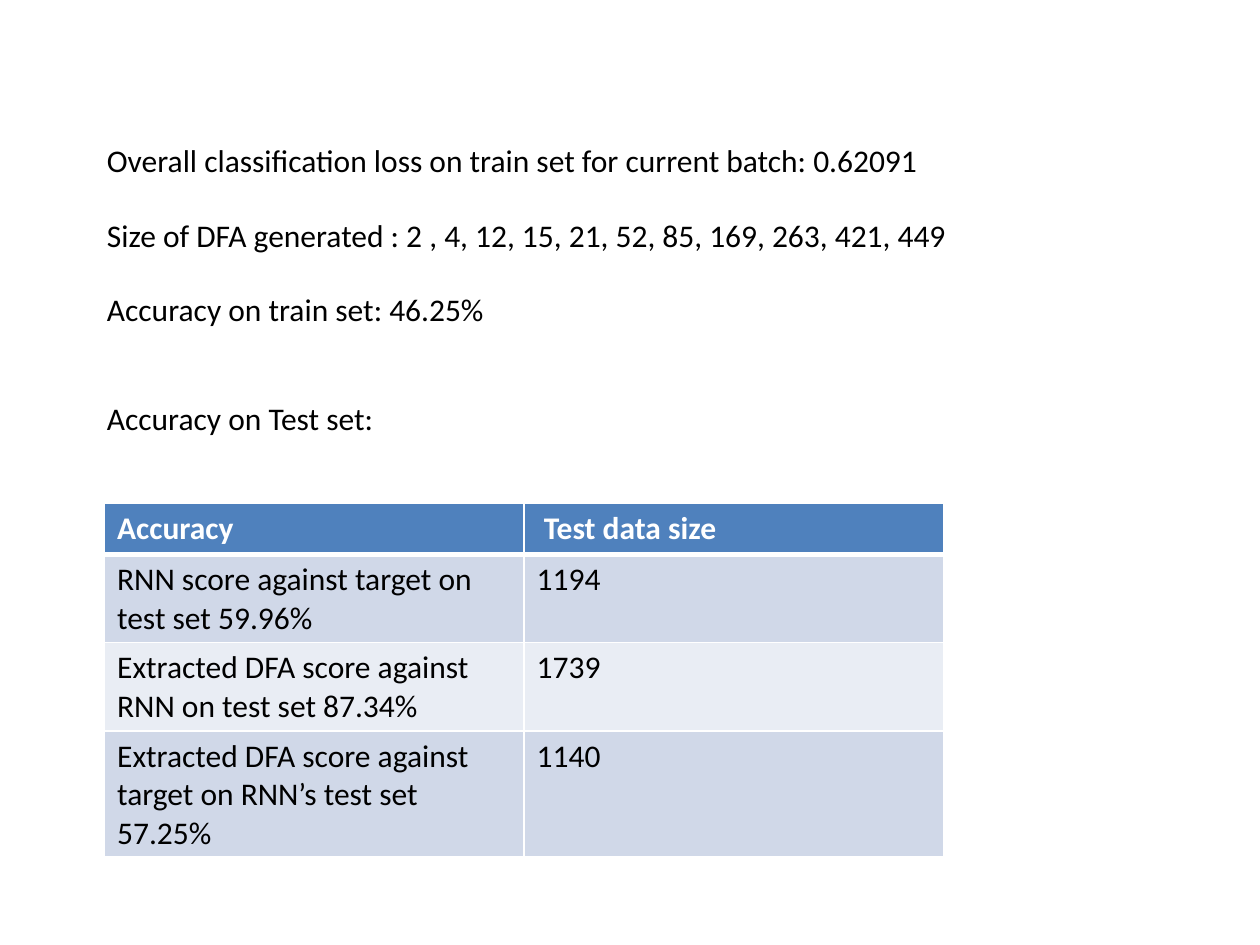
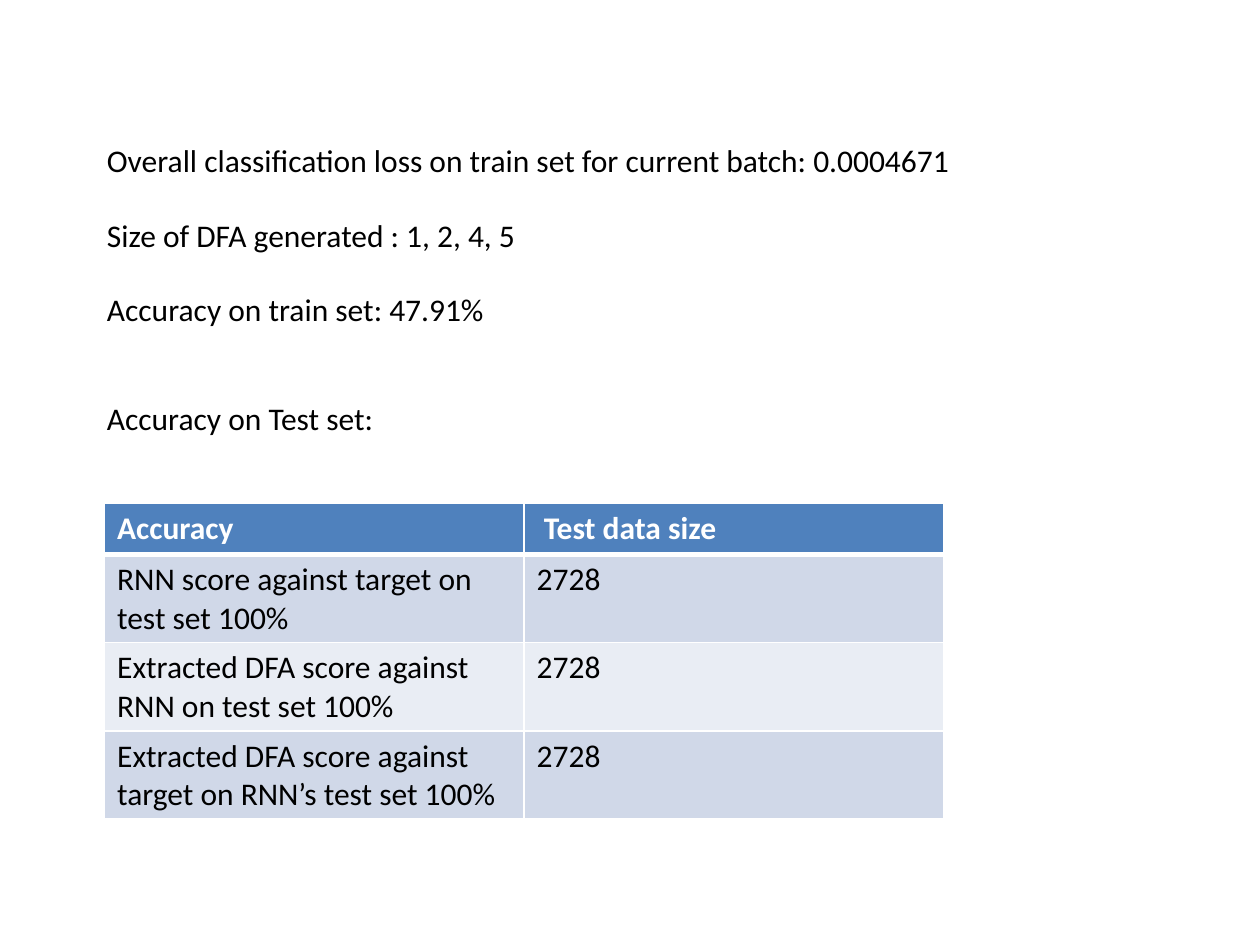
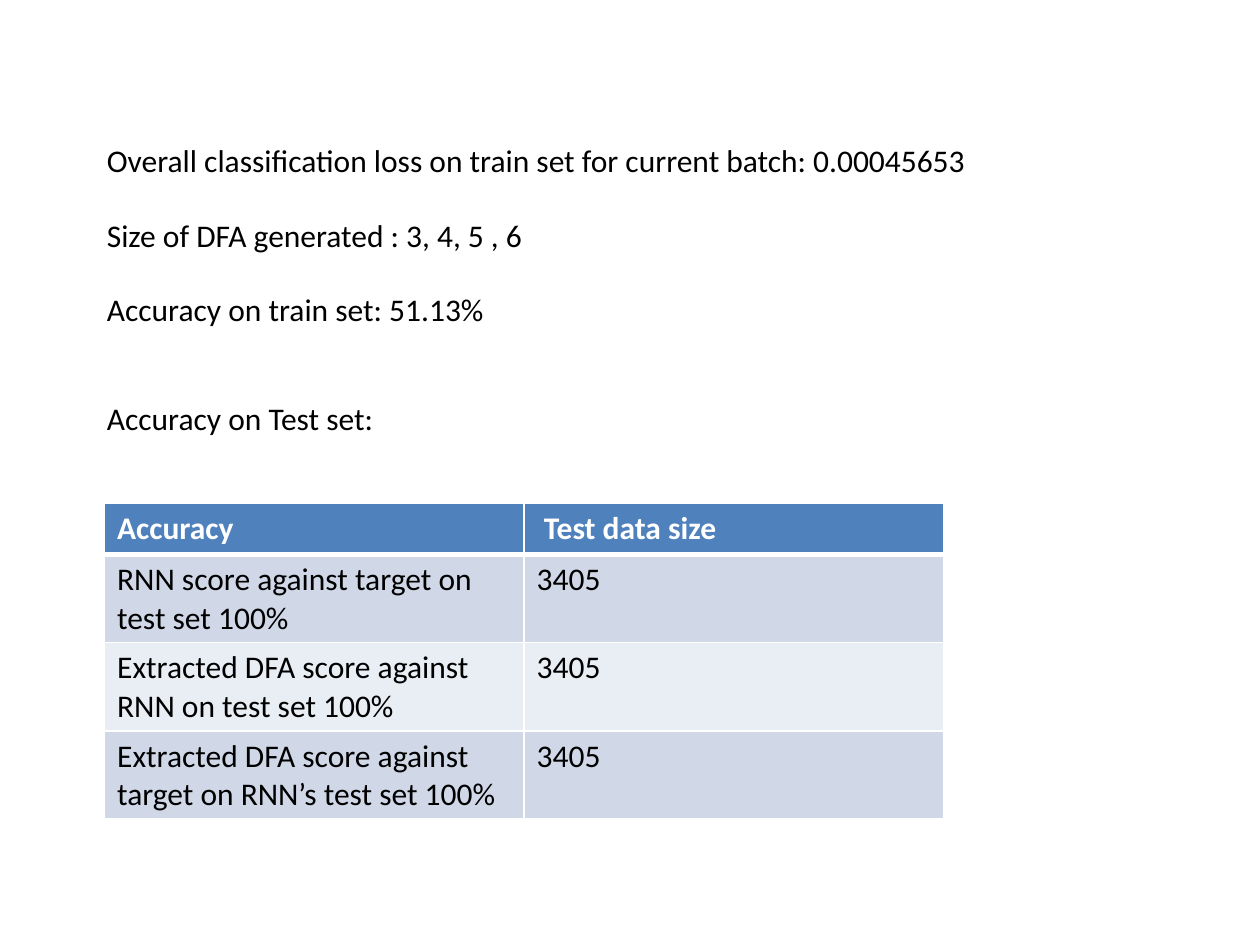
from dataclasses import dataclass

from lxml.etree import SubElement
from pptx import Presentation
from pptx.dml.color import RGBColor
from pptx.enum.text import MSO_AUTO_SIZE
from pptx.oxml.ns import qn
from pptx.slide import Slide
from pptx.table import _Cell as Cell
from pptx.text.text import _Paragraph as Paragraph
from pptx.util import Inches, Length, Pt

BLACK = RGBColor(0x00, 0x00, 0x00)
WHITE = RGBColor(0xFF, 0xFF, 0xFF)
HEADER_BLUE = RGBColor(0x4F, 0x81, 0xBD)
DARK_BAND = RGBColor(0xD0, 0xD8, 0xE8)
LIGHT_BAND = RGBColor(0xE9, 0xED, 0xF4)

FONT_NAME = "Calibri"
FONT_SIZE = Pt(18)
LINE_GAP = Pt(21)
THIN_BORDER = Pt(1)
HEADER_RULE = Pt(3)

TEXT_LEFT = Inches(0.75)
TABLE_LEFT = Inches(0.83)
TABLE_TOP = Inches(3.99)
COLUMN_WIDTH = Inches(3.33)
ROW_HEIGHT = Inches(0.41)

HEADINGS = ("Accuracy", " Test data size")
SCORE_LABELS = (
    "RNN score against target on test set",
    "Extracted DFA score against RNN on test set",
    "Extracted DFA score against target on RNN’s test set",
)


@dataclass(frozen=True)
class Score:
    accuracy: str
    test_size: str


@dataclass(frozen=True)
class Experiment:
    loss: str
    dfa_sizes: str
    train_accuracy: str
    scores: tuple[Score, Score, Score]
    summary_width: Length = Inches(6.95)


EXPERIMENTS = (
    Experiment(
        "0.62091",
        "2 , 4, 12, 15, 21, 52, 85, 169, 263, 421, 449",
        "46.25%",
        (Score("59.96%", "1194"), Score("87.34%", "1739"), Score("57.25%", "1140")),
    ),
    Experiment("0.0004671", "1, 2, 4, 5", "47.91%", (Score("100%", "2728"),) * 3),
    Experiment(
        "0.00045653", "3, 4, 5 , 6", "51.13%", (Score("100%", "3405"),) * 3, Inches(7.1)
    ),
)


def style_paragraph(
    paragraph: Paragraph, color: RGBColor = BLACK, bold: bool = False
) -> None:
    font = paragraph.font
    font.name = FONT_NAME
    font.size = FONT_SIZE
    font.bold = bold
    font.color.rgb = color


def add_lines(
    slide: Slide, top: Length, width: Length, height: Length, lines: list[str]
) -> None:
    frame = slide.shapes.add_textbox(TEXT_LEFT, top, width, height).text_frame
    frame.word_wrap = False
    frame.auto_size = MSO_AUTO_SIZE.SHAPE_TO_FIT_TEXT
    frame.text = "\n".join(lines)
    for index, paragraph in enumerate(frame.paragraphs):
        style_paragraph(paragraph)
        if index:
            paragraph.space_before = LINE_GAP


def set_borders(cell: Cell, top: Length, bottom: Length) -> None:
    properties = cell._tc.get_or_add_tcPr()
    widths = {"lnL": THIN_BORDER, "lnR": THIN_BORDER, "lnT": top, "lnB": bottom}
    for side, width in widths.items():
        border = SubElement(properties, qn(f"a:{side}"), w=str(int(width)))
        fill = SubElement(border, qn("a:solidFill"))
        SubElement(fill, qn("a:srgbClr"), val=str(WHITE))


def add_score_table(slide: Slide, scores: tuple[Score, ...]) -> None:
    rows = [HEADINGS] + [
        (f"{label} {score.accuracy}", score.test_size)
        for label, score in zip(SCORE_LABELS, scores)
    ]
    table = slide.shapes.add_table(
        len(rows),
        len(HEADINGS),
        TABLE_LEFT,
        TABLE_TOP,
        COLUMN_WIDTH * len(HEADINGS),
        ROW_HEIGHT * len(rows),
    ).table
    for row_index, row in enumerate(rows):
        is_header = row_index == 0
        band = DARK_BAND if row_index % 2 else LIGHT_BAND
        for column_index, text in enumerate(row):
            cell = table.cell(row_index, column_index)
            set_borders(
                cell,
                top=HEADER_RULE if row_index == 1 else THIN_BORDER,
                bottom=HEADER_RULE if is_header else THIN_BORDER,
            )
            cell.fill.solid()
            cell.fill.fore_color.rgb = HEADER_BLUE if is_header else band
            cell.text = text
            style_paragraph(
                cell.text_frame.paragraphs[0], WHITE if is_header else BLACK, is_header
            )


def add_experiment(slide: Slide, experiment: Experiment) -> None:
    summary = [
        f"Overall classification loss on train set for current batch: {experiment.loss}",
        f"Size of DFA generated : {experiment.dfa_sizes}",
        f"Accuracy on train set: {experiment.train_accuracy}",
    ]
    add_lines(slide, Inches(1.07), experiment.summary_width, Inches(1.62), summary)
    add_lines(slide, Inches(3.12), Inches(2.34), Inches(0.4), ["Accuracy on Test set:"])
    add_score_table(slide, experiment.scores)


def main() -> None:
    presentation = Presentation()
    presentation.slide_width = Inches(10)
    presentation.slide_height = Inches(7.5)
    blank_layout = presentation.slide_layouts[6]
    for experiment in EXPERIMENTS:
        add_experiment(presentation.slides.add_slide(blank_layout), experiment)
    presentation.save("out.pptx")


if __name__ == "__main__":
    main()
